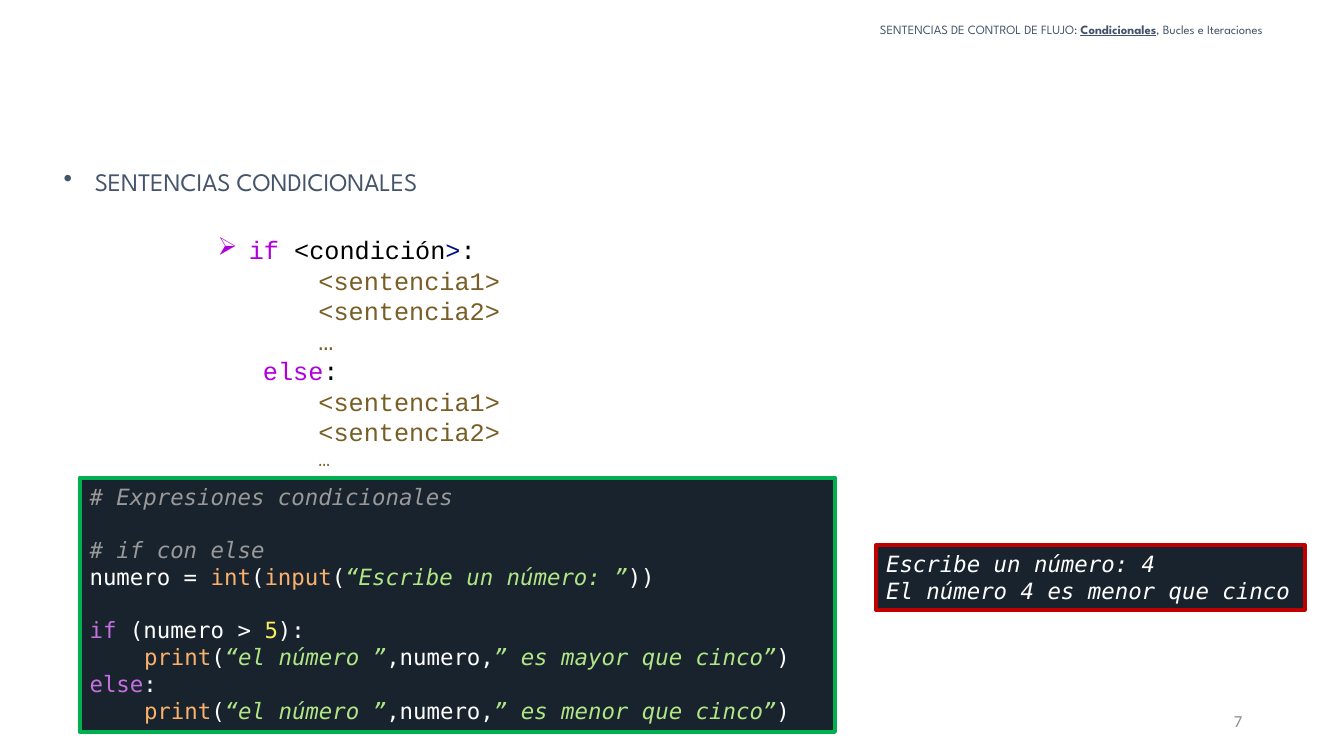
from dataclasses import dataclass

from lxml import etree
from pptx import Presentation
from pptx.dml.color import RGBColor
from pptx.enum.shapes import MSO_SHAPE
from pptx.enum.text import MSO_ANCHOR, MSO_AUTO_SIZE, PP_ALIGN
from pptx.oxml.ns import qn
from pptx.util import Inches, Pt

RECTANGLE = MSO_SHAPE.RECTANGLE
TOP, MIDDLE = MSO_ANCHOR.TOP, MSO_ANCHOR.MIDDLE
LEFT, CENTER, RIGHT = PP_ALIGN.LEFT, PP_ALIGN.CENTER, PP_ALIGN.RIGHT
NO_AUTOFIT = MSO_AUTO_SIZE.NONE


@dataclass(frozen=True)
class Theme:
    # Fonts
    heading_font: str = "League Spartan"
    syntax_font: str = "Courier New"
    code_font: str = "DejaVu Sans Mono"
    number_font: str = "Calibri"
    # Type sizes
    header_size: int = 9
    number_size: int = 12
    ellipsis_size: int = 14
    code_size: int = 16
    body_size: int = 18
    # Colours
    slate: str = "44546A"
    gray: str = "8C8C8C"
    black: str = "000000"
    white: str = "FFFFFF"
    editor: str = "19232D"
    code_border: str = "00B050"
    output_border: str = "C00000"
    syntax_keyword: str = "AF00DB"
    syntax_operator: str = "001080"
    syntax_statement: str = "795E26"
    comment: str = "999999"
    builtin: str = "FAB16C"
    string: str = "B0E686"
    keyword: str = "C670E0"
    number: str = "FAED5C"


class SlideBuilder:
    def __init__(self, slide, theme):
        self.slide = slide
        self.theme = theme

    def add_runs(self, paragraph, runs, font, size, align=LEFT, indent=0, bullet=None, before=0):
        """Each run is (text, colour), then any font flags."""
        paragraph.alignment = align
        paragraph.space_before = Pt(before)
        properties = paragraph._p.get_or_add_pPr()
        properties.set("marL", str(Inches(indent)))
        properties.set("indent", str(Inches(-0.31 if bullet else 0)))
        if bullet:
            etree.SubElement(properties, qn("a:buChar")).set("char", bullet)
        for text, colour, *flags in runs:
            run = paragraph.add_run()
            run.text = text
            run.font.name = font
            run.font.size = Pt(size)
            run.font.color.rgb = RGBColor.from_string(colour)
            run.font.bold = "bold" in flags
            run.font.italic = "italic" in flags
            run.font.underline = "underline" in flags

    def lines(self, shape, paragraphs, font, size, anchor=TOP):
        """Each paragraph is (runs, paragraph options)."""
        frame = shape.text_frame
        frame.word_wrap = True
        frame.auto_size = NO_AUTOFIT
        frame.vertical_anchor = anchor
        for index, (runs, options) in enumerate(paragraphs):
            paragraph = frame.add_paragraph() if index else frame.paragraphs[0]
            self.add_runs(paragraph, runs, font, **{"size": size, **options})

    def title(self, box, runs, font, size, **options):
        heading = self.slide.shapes.title
        heading.left, heading.top, heading.width, heading.height = map(Inches, box)
        self.lines(heading, [(runs, options)], font, size)

    def text(self, box, paragraphs, font, size, anchor=TOP):
        self.lines(self.slide.shapes.add_textbox(*map(Inches, box)),
                   paragraphs, font, size, anchor)

    def console(self, box, border, paragraphs):
        panel = self.slide.shapes.add_shape(RECTANGLE, *map(Inches, box))
        panel.shadow.inherit = False
        panel.fill.solid()
        panel.fill.fore_color.rgb = RGBColor.from_string(self.theme.editor)
        panel.line.color.rgb = RGBColor.from_string(border)
        panel.line.width = Pt(3)
        self.lines(panel, paragraphs, self.theme.code_font, self.theme.code_size)


theme = Theme()
presentation = Presentation()
presentation.slide_width = Inches(13.33)
presentation.slide_height = Inches(7.5)
page = SlideBuilder(presentation.slides.add_slide(presentation.slide_layouts[5]), theme)

# Section header
page.text((7.97, 0.17, 5.31, 0.28), [([
    ("SENTENCIAS DE CONTROL DE FLUJO: ", theme.slate),
    ("Condicionales", theme.slate, "bold", "underline"),
    (", Bucles e Iteraciones", theme.slate),
], {"align": CENTER})], theme.heading_font, theme.header_size)

# Title
page.title((0.53, 1.6, 4.41, 0.4), [("SENTENCIAS CONDICIONALES", theme.slate)],
           theme.heading_font, theme.body_size, indent=0.31, bullet="•")


# Syntax of if / else
def syntax_block(ellipsis_size):
    statements = [("<sentencia1>", theme.body_size), ("<sentencia2>", theme.body_size),
                  ("…", ellipsis_size)]
    return [([(text, theme.syntax_statement)], {"indent": 3, "size": size})
            for text, size in statements]


if_line = [("if", theme.syntax_keyword), (" <condición", theme.black),
           (">", theme.syntax_operator), (":", theme.black)]
else_line = [("else", theme.syntax_keyword), (":", theme.black)]
page.text((0.06, 2.28, 6.67, 2.46), [
    (if_line, {"indent": 2.31, "bullet": "➢"}),
    *syntax_block(theme.body_size),
    (else_line, {"indent": 2.45}),
    *syntax_block(theme.ellipsis_size),
], theme.syntax_font, theme.body_size)

# Slide number
page.text((9.42, 6.95, 3, 0.4), [([("7", theme.gray)], {"align": RIGHT})],
          theme.number_font, theme.number_size, MIDDLE)

# Example program
SECTION_GAP = {"before": 19}


def print_line(comparison):
    return ([("print", theme.builtin), ("(", theme.white),
             ("“el número ”", theme.string, "italic"), (",numero,", theme.white),
             (f"” es {comparison} que cinco”", theme.string, "italic"),
             (")", theme.white)], {"indent": 0.54})


page.console((0.79, 4.74, 7.49, 2.52), theme.code_border, [
    ([("# Expresiones condicionales", theme.comment, "italic")], {}),
    ([("# if con else", theme.comment, "italic")], SECTION_GAP),
    ([("numero = ", theme.white), ("int", theme.builtin), ("(", theme.white),
      ("input", theme.builtin), ("(", theme.white),
      ("“Escribe un número: ”", theme.string, "italic"), ("))", theme.white)], {}),
    ([("if ", theme.keyword), ("(numero > ", theme.white), ("5", theme.number),
      ("):", theme.white)], SECTION_GAP),
    print_line("mayor"),
    ([("else", theme.keyword), (":", theme.white)], {}),
    print_line("menor"),
])

# Program output
page.console((8.69, 5.41, 4.25, 0.64), theme.output_border, [
    ([(text, theme.white, "italic")], {})
    for text in ("Escribe un número: 4", "El número 4 es menor que cinco")
])

presentation.save("out.pptx")
